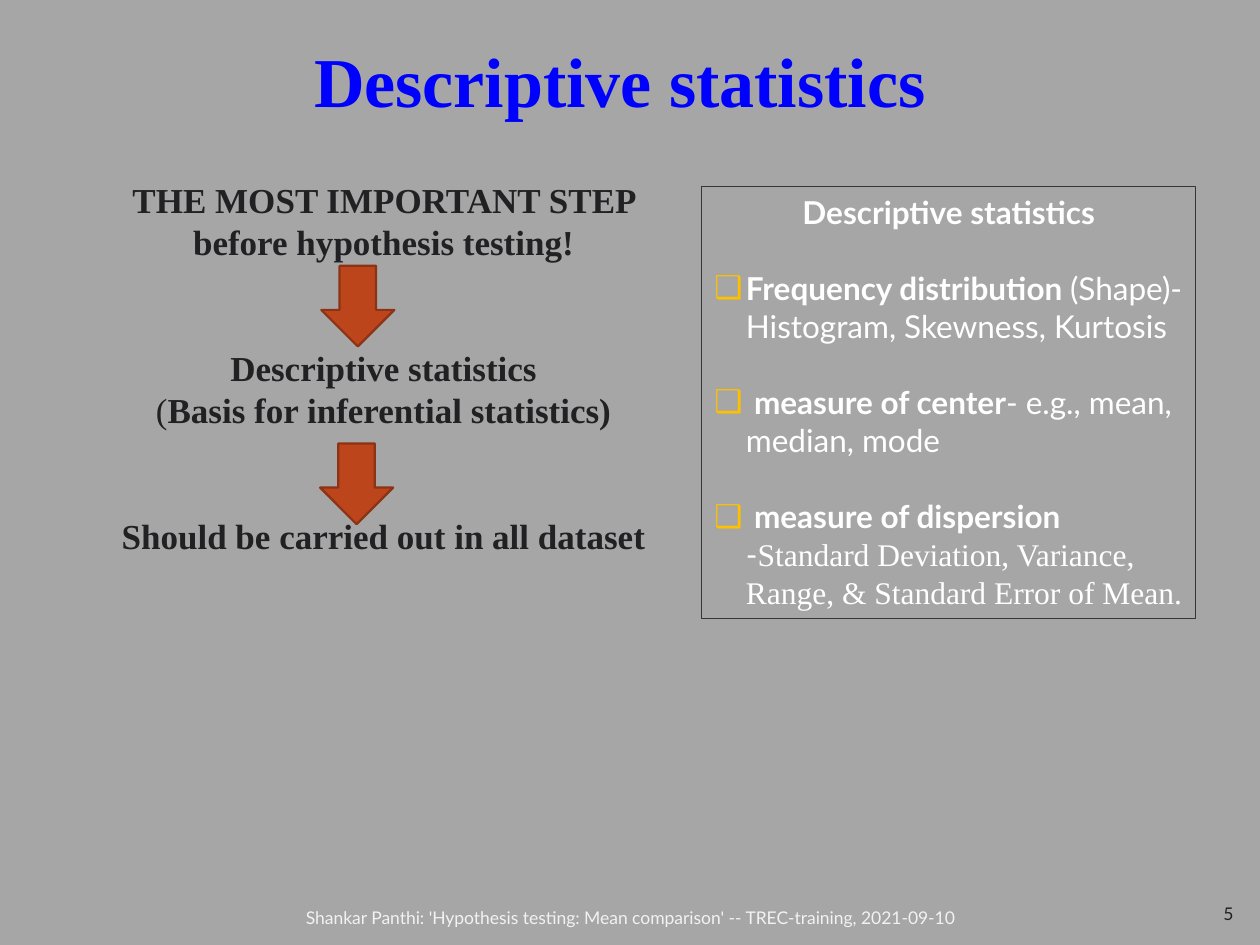
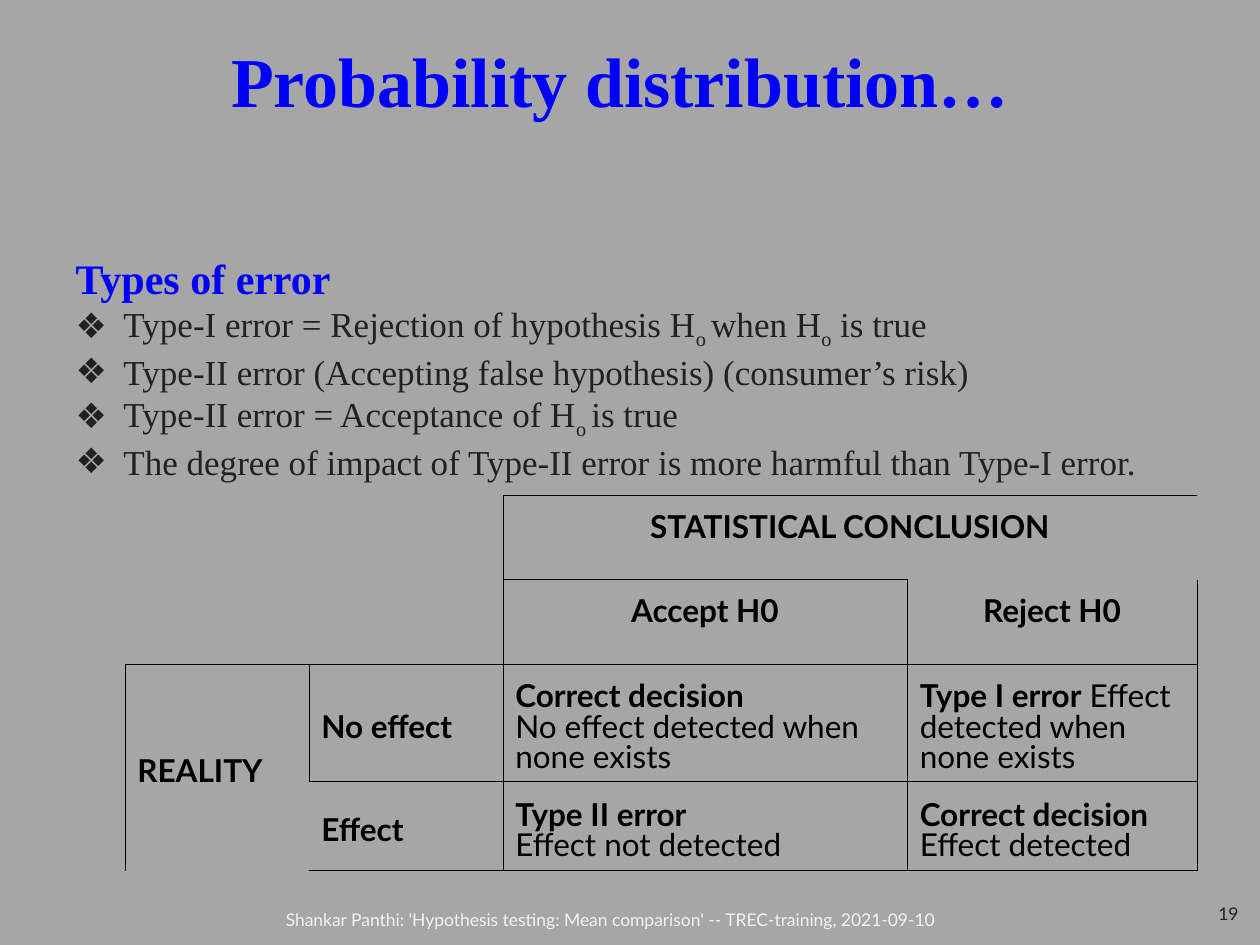
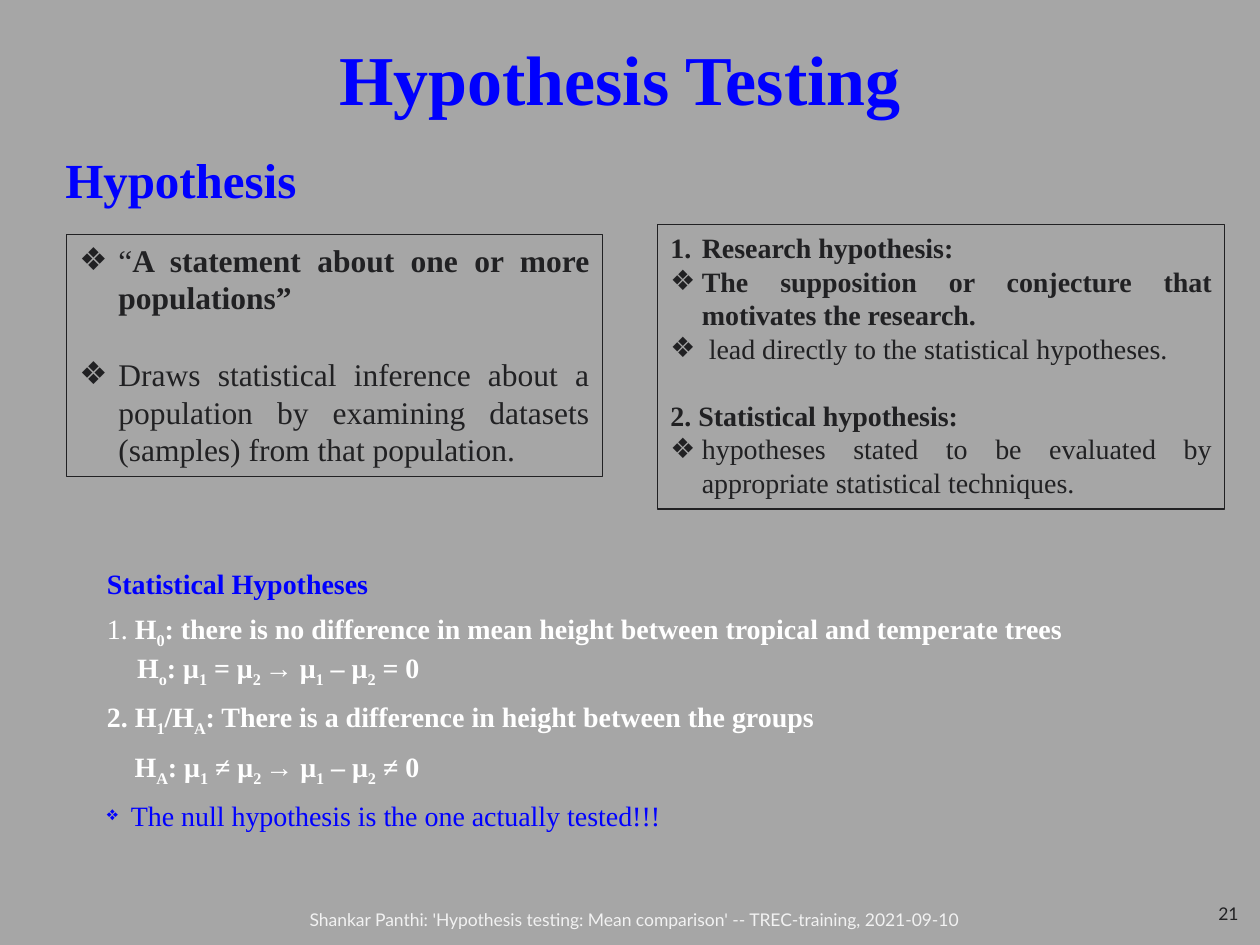
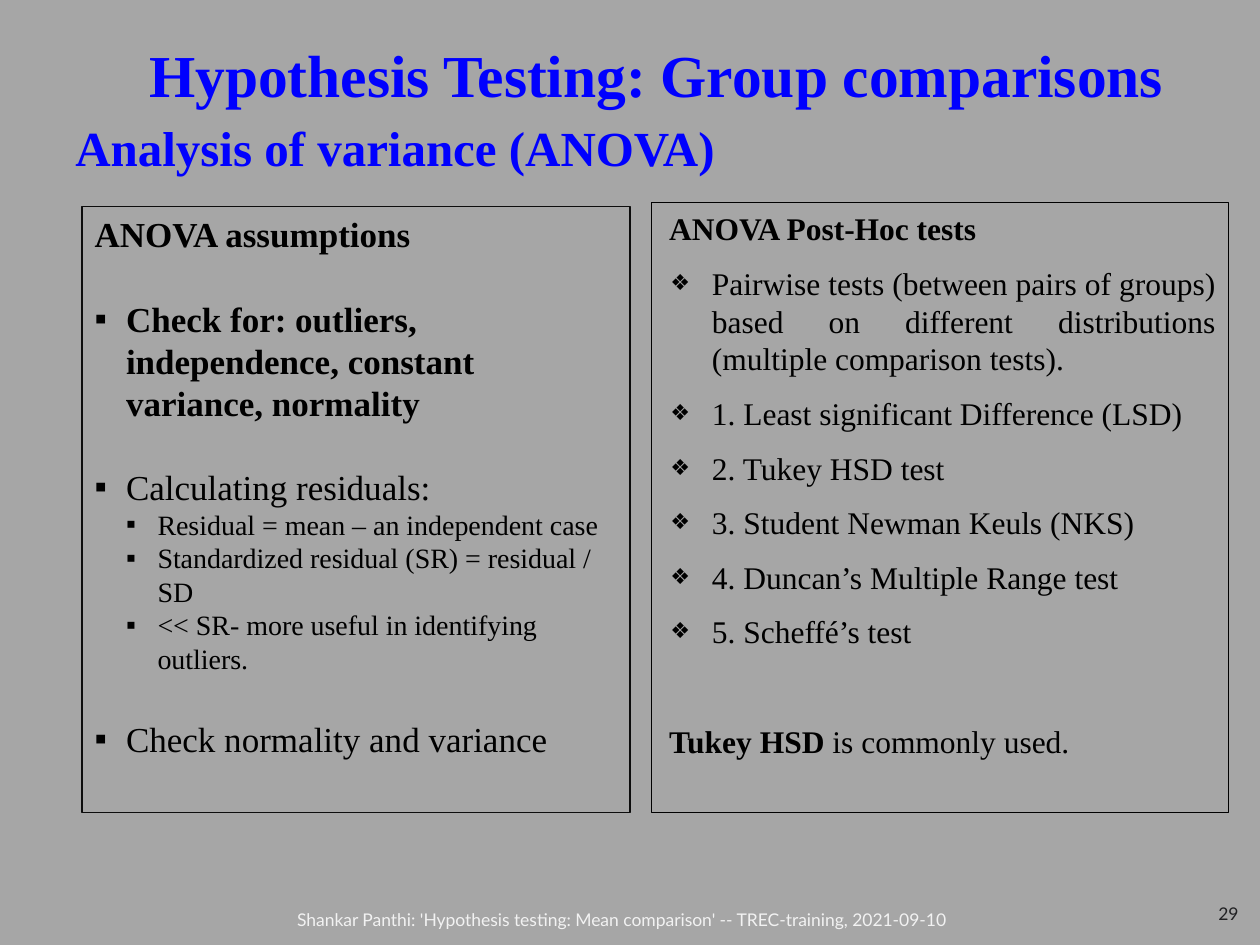
"""Builds four slides on descriptive statistics and hypothesis testing."""
from lxml import etree
from pptx import Presentation
from pptx.dml.color import RGBColor
from pptx.enum import shapes, text
from pptx.oxml.ns import qn
from pptx.util import Inches, Pt

GREY, BLUE, DARK, BLACK, WHITE, PALE = "A6A6A6", "0000FE", "212123", "000000", "FFFFFF", "F2F2F2"
SERIF, SANS = "Times New Roman", "Lato"
LEFT, MID, JUST = text.PP_ALIGN.LEFT, text.PP_ALIGN.CENTER, text.PP_ALIGN.JUSTIFY
TOP, CENTRE = text.MSO_ANCHOR.TOP, text.MSO_ANCHOR.MIDDLE
FOOT = "Shankar Panthi: 'Hypothesis testing: Mean comparison' -- TREC-training, 2021-09-10"

BASE = dict(size=18, font=SERIF, alt="Arial", color=DARK, bold=False, align=LEFT, left=0, hang=0,
            mark="", tint="", scale=0, before=0, after=0, space=1.0)
HEAD = dict(color=BLUE, bold=True)
BOLD = dict(bold=True)

# Within text: * flips bold, ~ flips subscript, ^ flips the second font, | breaks the line.
BOX = dict(left=0.25, hang=0.25, mark="❑", tint="FFC000", before=22)
GEM = dict(left=0.38, hang=0.38, mark="❖")
WIDE = dict(left=0.31, hang=0.31, mark="❖")
SLIM = dict(left=0.25, hang=0.25, mark="❖")
DOT = dict(left=0.25, hang=0.25, mark="▪", tint=BLACK, before=24)
SUB = dict(left=0.5, hang=0.25, mark="▪", tint=BLACK, size=16)
TEST = dict(left=0.38, hang=0.33, mark="❖", scale=70)

SLIDES = [
    dict(num="5", title="Descriptive statistics", top=0.25, foot=(2.33, 7.08), layout=3,
         bodies=[
             dict(at=(0.67, 1.37, 4.75, 3.13), style=dict(size=20, align=MID, bold=True), paras=[
                 ("THE MOST IMPORTANT STEP before hypothesis testing!", {}),
                 ("Descriptive statistics", dict(before=48)),
                 ("*(*Basis for inferential statistics)", {}),
                 ("Should be carried out in all dataset", dict(before=48))]),
             dict(at=(5.57, 1.48, 3.92, 3.43), edge="36363A",
                  style=dict(font=SANS, alt=SERIF, color=WHITE), paras=[
                 ("Descriptive statistics", dict(bold=True, align=MID)),
                 ("*Frequency distribution *(Shape)- Histogram, Skewness, Kurtosis", BOX),
                 (" *measure of center*- e.g., mean, median, mode", BOX),
                 (" *measure of dispersion*|-^Standard Deviation, Variance, Range, "
                  "& Standard Error of Mean.^", BOX)])],
         arrows=[(2.55, 2.11), (2.54, 3.52)]),
    dict(num="19", title="Probability distribution…", top=0.25, foot=(2.17, 7.1), layout=1,
         bodies=[
             dict(at=(0.5, 1.99, 9.17, 1.85), anchor=CENTRE, style=dict(size=20, align=JUST), paras=[
                 ("Types of error", HEAD | dict(size=24)),
                 ("Type-I error = Rejection of hypothesis H~o ~when H~o~ is true", GEM),
                 ("Type-II error (Accepting false hypothesis) (consumer’s risk)", GEM),
                 ("Type-II error = Acceptance of H~o ~is true", GEM),
                 ("The degree of impact of Type-II error is more harmful than Type-I error.", GEM)])],
         table=True),
    dict(num="21", title="Hypothesis Testing", top=0.23, foot=(2.36, 7.1), layout=3,
         bodies=[
             dict(at=(0.53, 1.86, 4.25, 1.92), edge=DARK, style=dict(align=JUST), paras=[
                 ("“*A statement about one or more populations”*", WIDE),
                 ("Draws statistical inference about a population by examining datasets "
                  "(samples) from that population.", WIDE | dict(before=22))]),
             dict(at=(5.22, 1.78, 4.5, 2.26), edge=DARK, style=dict(size=16, align=JUST), paras=[
                 ("Research hypothesis:", SLIM | BOLD | dict(mark="1.")),
                 ("The supposition or conjecture that motivates the research.", SLIM | BOLD),
                 (" lead directly to the statistical hypotheses.", SLIM),
                 ("2. Statistical hypothesis:", dict(bold=True, before=19)),
                 ("hypotheses stated to be evaluated by appropriate statistical techniques.", SLIM)])],
         boxes=[
             dict(at=(0.42, 1.14, 5.76, 0.57), style=HEAD | dict(size=28), paras=[("Hypothesis", {})]),
             dict(at=(0.75, 4.45, 8.67, 2.11), paras=[
                 ("Statistical Hypotheses", dict(color=BLUE)),
                 ("*1. *H~0~: there is no difference in mean height between tropical "
                  "and temperate trees", {}),
                 ("H~o~: μ~1~ = μ~2 ~^→^ μ~1~ – μ~2~ = 0", dict(left=0.24, before=0)),
                 ("2. H~1~/H~A~: There is a difference in height between the groups", {}),
                 ("H~A~: μ~1~ ≠ μ~2 ~^→^ μ~1~ – μ~2~ ≠ 0", dict(left=0.22)),
                 ("The null hypothesis is the one actually tested!!!",
                  dict(left=0.19, hang=0.19, mark="❖", scale=70, color="0000FF", bold=False))],
                  style=dict(size=16, color=WHITE, bold=True, before=6.5))]),
    dict(num="29", title="Hypothesis Testing: Group comparisons", top=0.25, foot=(2.26, 7.1),
         layout=3, wide=8.58, size=34,
         bodies=[
             dict(at=(0.65, 1.64, 4.35, 4.81), edge="0D0D0D", style=dict(size=20, color=BLACK), paras=[
                 ("ANOVA assumptions", BOLD),
                 ("Check for: outliers, independence, constant variance, normality", DOT | BOLD),
                 ("Calculating residuals:", DOT),
                 ("Residual = mean – an independent case", SUB),
                 ("Standardized residual (SR) = residual / SD", SUB),
                 ("<< SR- more useful in identifying outliers.", SUB),
                 ("Check normality and variance", DOT)]),
             dict(at=(5.17, 1.61, 4.58, 4.84), edge=BLACK,
                  style=dict(color=BLACK, align=JUST, before=3.6, after=6), paras=[
                 ("ANOVA Post-Hoc tests", dict(bold=True, left=0.04)),
                 ("Pairwise tests (between pairs of groups) based on different distributions "
                  "(multiple comparison tests).", TEST),
                 ("1. Least significant Difference (LSD)", TEST),
                 ("2. Tukey HSD test", TEST),
                 ("3. Student Newman Keuls (NKS)", TEST),
                 ("4. Duncan’s Multiple Range test", TEST),
                 ("5. Scheffé’s test", TEST),
                 ("*Tukey HSD *is commonly used.", dict(left=0.04, before=35))])],
         boxes=[dict(at=(0.5, 0.88, 7.27, 0.57), style=HEAD | dict(size=28),
                     paras=[("Analysis of variance (ANOVA)", {})])]),
]

COLS, ROWS = (1.46, 1.54, 3.21, 2.3), (0.67, 0.67, 0.93, 0.71)
SPANS = [((0, 2), (0, 3)), ((2, 0), (3, 0))]
CELLS = [
    [[], [], ["*STATISTICAL CONCLUSION*"], []],
    [[], [], ["*Accept H0*"], ["*Reject H0*"]],
    [["*REALITY*"], ["*No effect*"], ["*Correct decision*", "No effect detected when none exists"],
     ["*Type I error* Effect detected when none exists"]],
    [[], ["*Effect*"], ["*Type II error*", "Effect not detected"],
     ["*Correct decision*", "Effect detected"]],
]
EDGES = [["", "R", "LTB", "T"], ["B", "RB", "LTRB", "LRB"],
         ["LTR", "LTRB", "LTRB", "LTRB"], ["L", "TRB", "LTRB", "LTRB"]]


def rgb(code):
    """Turn a hex string into a colour."""
    return RGBColor.from_string(code)


def add(node, tag, **attrs):
    """Append a drawing element to a node."""
    return etree.SubElement(node, qn("a:" + tag), attrs)


def place(shape, at):
    """Move and size a shape in inches."""
    shape.left, shape.top, shape.width, shape.height = map(Inches, at)


def bullet(props, o):
    """Set the indent and bullet of a paragraph."""
    props.set("marL", str(Inches(o["left"])))
    props.set("indent", str(-Inches(o["hang"])))
    if o["tint"]:
        add(add(props, "buClr"), "srgbClr", val=o["tint"])
    if o["scale"]:
        add(props, "buSzPct", val=str(o["scale"] * 1000))
    if o["mark"] == "1.":
        add(props, "buAutoNum", type="arabicPeriod")
    elif o["mark"]:
        add(props, "buChar", char=o["mark"])
    else:
        add(props, "buNone")


def pieces(line):
    """Yield each stretch of text with the marks in force, and each line break."""
    on, part = set(), ""
    for sign in line + "|":
        if sign not in "*~^|":
            part += sign
            continue
        if part:
            yield part, frozenset(on)
        part = ""
        if sign == "|":
            yield sign, on
        else:
            on ^= {sign}


def write(frame, paras, style):
    """Fill a text frame with marked-up paragraphs."""
    for i, (line, opts) in enumerate(paras):
        o = BASE | style | opts
        para = frame.paragraphs[0] if i == 0 else frame.add_paragraph()
        para.alignment, para.line_spacing = o["align"], o["space"]
        para.space_before, para.space_after = Pt(o["before"] if i else 0), Pt(o["after"])
        bullet(para._p.get_or_add_pPr(), o)
        font = para.font
        font.size, font.name, font.bold = Pt(o["size"]), o["font"], o["bold"]
        font.color.rgb = rgb(o["color"])
        for part, on in list(pieces(line))[:-1]:
            if part == "|":
                para.add_line_break()
                continue
            run = para.add_run()
            run.text = part
            if "*" in on:
                run.font.bold = not o["bold"]
            if "^" in on:
                run.font.name = o["alt"]
            if "~" in on:
                run.font._element.set("baseline", "-25000")


def block(shape, at, paras, style, anchor=TOP, edge=""):
    """Place a text shape, frame it and fill it."""
    place(shape, at)
    frame = shape.text_frame
    frame.word_wrap, frame.auto_size = True, text.MSO_AUTO_SIZE.NONE
    frame.vertical_anchor = anchor
    if edge:
        shape.line.color.rgb, shape.line.width = rgb(edge), Pt(0.75)
    write(frame, paras, style)


def label(slide, **part):
    """Add a text box."""
    block(slide.shapes.add_textbox(0, 0, 0, 0), **part)


def arrow(slide, left, top):
    """Add a down arrow."""
    shape = slide.shapes.add_shape(shapes.MSO_SHAPE.DOWN_ARROW, 0, 0, 0, 0)
    place(shape, (left, top, 0.58, 0.64))
    shape.shadow.inherit = False
    shape.fill.solid()
    shape.fill.fore_color.rgb = rgb("BC451B")
    shape.line.color.rgb, shape.line.width = rgb("8B3314"), Pt(1.25)


def border(cell, sides):
    """Draw the named sides of a cell and clear the others."""
    props = cell._tc.get_or_add_tcPr()
    for side in "LRTB":
        line = add(props, "ln" + side, w=str(Pt(0.25)))
        if side in sides:
            add(add(line, "solidFill"), "srgbClr", val=BLACK)
        else:
            add(line, "noFill")


def grid(slide):
    """Add the table of decisions."""
    at = map(Inches, (0.99, 3.93, sum(COLS), sum(ROWS)))
    table = slide.shapes.add_table(len(ROWS), len(COLS), *at).table
    table.first_row = table.horz_banding = False
    for col, width in zip(table.columns, COLS):
        col.width = Inches(width)
    for row, height in zip(table.rows, ROWS):
        row.height = Inches(height)
    for start, end in SPANS:
        table.cell(*start).merge(table.cell(*end))
    for r, line in enumerate(CELLS):
        for c, lines in enumerate(line):
            cell = table.cell(r, c)
            border(cell, EDGES[r][c])
            cell.fill.background()
            cell.margin_top = Inches(0.15)
            cell.vertical_anchor = TOP if r < 2 else CENTRE
            style = dict(font=SANS, color=BLACK, space=0.81, align=MID if r < 2 else LEFT)
            write(cell.text_frame, [(item, {}) for item in lines], style)


def build(deck, page):
    """Add one slide."""
    slide = deck.slides.add_slide(deck.slide_layouts[page["layout"]])
    block(slide.shapes.title, (0.92, page["top"], page.get("wide", 8), 0.83), [(page["title"], {})],
          HEAD | dict(size=page.get("size", 40), align=MID))
    for i, body in enumerate(page["bodies"], 1):
        block(slide.placeholders[i], **body)
    for box in page.get("boxes", []):
        label(slide, **box)
    for spot in page.get("arrows", []):
        arrow(slide, *spot)
    if page.get("table"):
        grid(slide)
    small = dict(size=10, font=SANS)
    label(slide, at=(*page["foot"], 5.47, 0.4), paras=[(FOOT, {})], anchor=CENTRE,
          style=small | dict(color=PALE))
    label(slide, at=(9.5, 7, 0.5, 0.5), paras=[(page["num"], {})], anchor=CENTRE,
          style=small | dict(align=MID))


def main():
    """Build and save the deck."""
    deck = Presentation()
    deck.slide_width, deck.slide_height = Inches(10), Inches(7.5)
    fill = deck.slide_master.background.fill
    fill.solid()
    fill.fore_color.rgb = rgb(GREY)
    for page in SLIDES:
        build(deck, page)
    deck.save("out.pptx")


if __name__ == "__main__":
    main()
